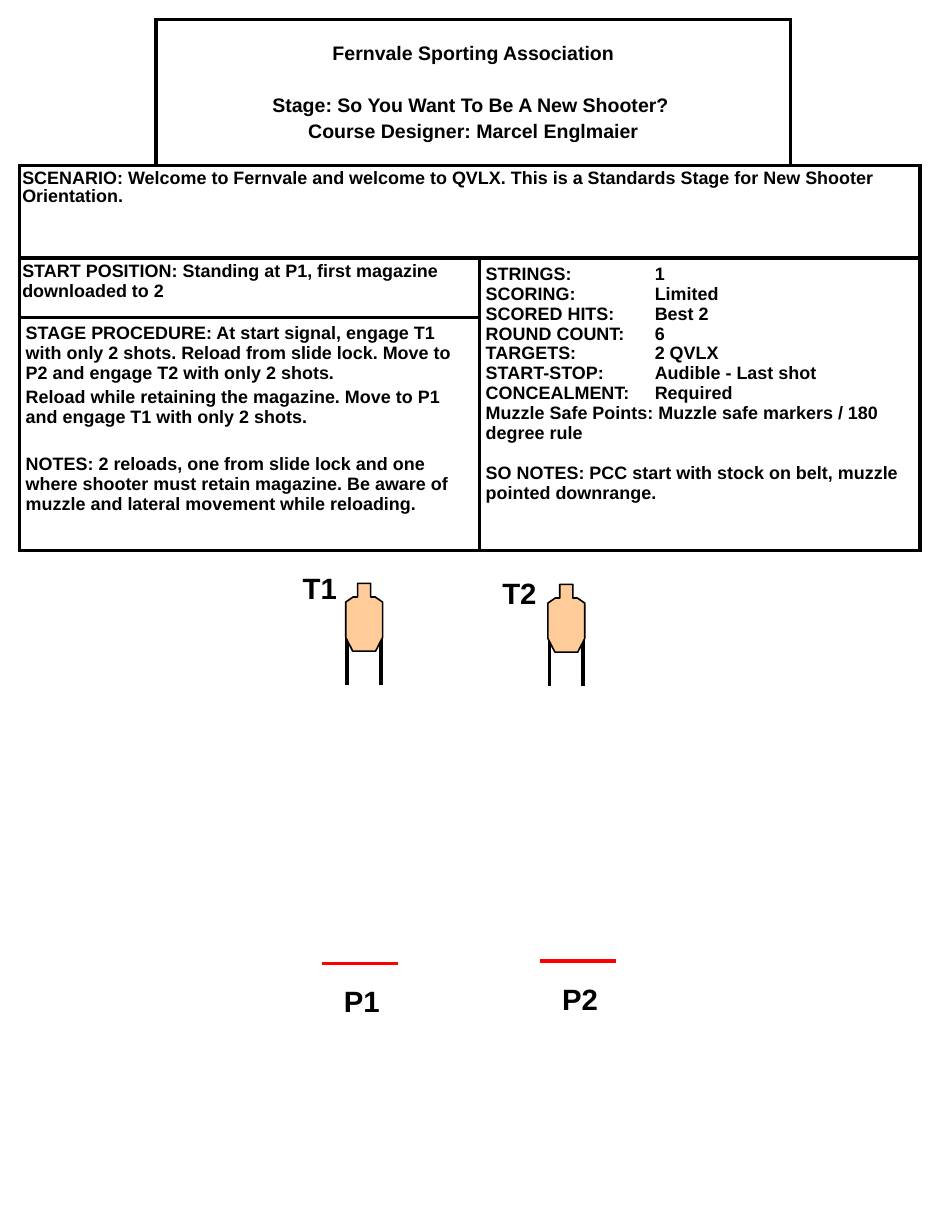
import pptx
import pptx.dml.color
import pptx.enum.shapes
import pptx.enum.text
import pptx.oxml.ns
import pptx.util
from lxml import etree

Pt = pptx.util.Pt
ALIGN = pptx.enum.text.PP_ALIGN
ANCHOR = pptx.enum.text.MSO_ANCHOR
BLACK, WHITE, RED, TAN = "000000", "FFFFFF", "FF0000", "FFCC99"

HEADING = [
    ("Fernvale Sporting Association", 0),
    ("Stage: So You Want To Be A New Shooter? ", 18.4),
    ("Course Designer: Marcel Englmaier", 2.4),
]
SCENARIO = [
    ("SCENARIO: Welcome to Fernvale and welcome to QVLX. This is a Standards "
     "Stage for New Shooter Orientation.", 0),
]
START = [("START POSITION: Standing at P1, first magazine downloaded to 2", 0)]
PROCEDURE = [
    ("STAGE PROCEDURE: At start signal, engage T1 with only 2 shots. Reload from "
     "slide lock. Move to P2 and engage T2 with only 2 shots.", 0),
    ("Reload while retaining the magazine. Move to P1 and engage T1 with only "
     "2 shots.", 2.2),
    ("NOTES: 2 reloads, one from slide lock and one where shooter must retain "
     "magazine. Be aware of muzzle and lateral movement while reloading.", 16.8),
]
RULES = [
    ("STRINGS:", "1"),
    ("SCORING:", "Limited"),
    ("SCORED HITS:", "Best 2"),
    ("ROUND COUNT:", "6"),
    ("TARGETS:", "2 QVLX"),
    ("START-STOP:", "Audible - Last shot"),
    ("CONCEALMENT:", "Required"),
]
RULE_NOTES = [
    ("Muzzle Safe Points: Muzzle safe markers / 180 degree rule", 0),
    ("SO NOTES: PCC start with stock on belt, muzzle pointed downrange.", 12),
]
# Right half of a target, as (distance from centre line, distance from top)
TARGET_HALF = [(4, 0), (4, 8.4), (6.8, 8.4), (11.3, 11.5), (11.3, 33.2), (7, 41.6)]


def rgb(color):
    return pptx.dml.color.RGBColor.from_string(color)


def add_run(p, text, size):
    r = p.add_run()
    r.text = text
    r.font.name = "Arial"
    r.font.size = Pt(size)
    r.font.bold = True
    r.font.color.rgb = rgb(BLACK)


def add_tab(p, position):
    tabs = etree.SubElement(p._p.get_or_add_pPr(), pptx.oxml.ns.qn("a:tabLst"))
    etree.SubElement(tabs, pptx.oxml.ns.qn("a:tab"), pos=str(Pt(position)), algn="l")


def fill_text(cell, paragraphs, size=11, inset=(3.6, 3.6), align=ALIGN.LEFT,
              line_spacing=1.0, tab=None):
    """Write (text, space before) pairs; inset is (sides, top and bottom)."""
    cell.margin_left = cell.margin_right = Pt(inset[0])
    cell.margin_top = cell.margin_bottom = Pt(inset[1])
    tf = cell.text_frame
    for i, (text, before) in enumerate(paragraphs):
        p = tf.add_paragraph() if i else tf.paragraphs[0]
        if tab and "\t" in text:
            add_tab(p, tab)
        p.alignment = align
        p.line_spacing = line_spacing
        p.space_before = Pt(before)
        add_run(p, text, size)


def set_borders(cell, sides):
    """Draw the borders named in sides (L, R, T, B) and clear the others."""
    tc_pr = cell._tc.get_or_add_tcPr()
    for side in "LRTB":
        ln = etree.SubElement(tc_pr, pptx.oxml.ns.qn("a:ln" + side), w=str(Pt(2.25)))
        if side in sides:
            fill = etree.SubElement(ln, pptx.oxml.ns.qn("a:solidFill"))
            etree.SubElement(fill, pptx.oxml.ns.qn("a:srgbClr"), val=BLACK)
        else:
            etree.SubElement(ln, pptx.oxml.ns.qn("a:noFill"))


def add_stage_table(s):
    widths, heights = (83.5, 198.7, 190.8, 79.2), (89.3, 56.9, 36.7, 142.6)
    frame = s.shapes.add_table(len(heights), len(widths), Pt(12.2), Pt(12.2),
                               Pt(sum(widths)), Pt(sum(heights)))
    table = frame.table
    table.first_row = table.horz_banding = False
    for column, width in zip(table.columns, widths):
        column.width = Pt(width)
    for row, height in zip(table.rows, heights):
        row.height = Pt(height)

    corner_sides = {(0, 0): "RB", (0, 3): "LB"}
    for i in range(len(heights)):
        for j in range(len(widths)):
            cell = table.cell(i, j)
            set_borders(cell, corner_sides.get((i, j), "LRTB"))
            cell.fill.solid()
            cell.fill.fore_color.rgb = rgb(WHITE)
    for first, last in [((0, 1), (0, 2)), ((1, 0), (1, 3)), ((2, 0), (2, 1)),
                        ((2, 2), (3, 3)), ((3, 0), (3, 1))]:
        table.cell(*first).merge(table.cell(*last))

    table.cell(0, 1).vertical_anchor = ANCHOR.MIDDLE
    fill_text(table.cell(0, 1), HEADING, size=12, align=ALIGN.CENTER)
    fill_text(table.cell(1, 0), SCENARIO, inset=(1.5, 2.9), line_spacing=0.9)
    fill_text(table.cell(2, 0), START, inset=(1.5, 2.2))
    fill_text(table.cell(3, 0), PROCEDURE)
    rules = [(f"{name}\t{value}", 0) for name, value in RULES]
    fill_text(table.cell(2, 2), rules + RULE_NOTES, tab=103.7)


def add_line(shapes, x1, y1, x2, y2, color, width):
    line = shapes.add_connector(pptx.enum.shapes.MSO_CONNECTOR.STRAIGHT,
                                Pt(x1), Pt(y1), Pt(x2), Pt(y2))
    line.line.color.rgb = rgb(color)
    line.line.width = Pt(width)
    etree.SubElement(line._element.spPr, pptx.oxml.ns.qn("a:effectLst"))


def add_label(s, text, left, top):
    box = s.shapes.add_textbox(Pt(left), Pt(top), Pt(41.8), Pt(28.8))
    tf = box.text_frame
    tf.word_wrap = True
    tf.auto_size = pptx.enum.text.MSO_AUTO_SIZE.SHAPE_TO_FIT_TEXT
    add_run(tf.paragraphs[0], text, 18)


def add_target(s, center, top):
    """Group two legs with the target outline in front of them."""
    shapes = s.shapes.add_group_shape().shapes
    for x in (center - 10.4, center + 10.4):
        add_line(shapes, x, top + 31, x, top + 62.6, BLACK, 2.25)
    outline = TARGET_HALF + [(-x, y) for x, y in reversed(TARGET_HALF)]
    points = [(Pt(center + x), Pt(top + y)) for x, y in outline]
    builder = shapes.build_freeform(*points[0])
    builder.add_line_segments(points[1:], close=True)
    sp = builder.convert_to_shape()
    sp.shadow.inherit = False
    sp.fill.solid()
    sp.fill.fore_color.rgb = rgb(TAN)
    sp.line.color.rgb = rgb(BLACK)
    sp.line.width = Pt(1)


def main():
    prs = pptx.Presentation()
    prs.slide_width, prs.slide_height = Pt(576), Pt(756)
    s = prs.slides.add_slide(prs.slide_layouts[6])
    add_stage_table(s)
    for name, left, top, center, target_top in [("T1", 178.6, 346.3, 223.4, 358),
                                                ("T2", 301, 349.2, 347.4, 358.6)]:
        add_target(s, center, target_top)
        add_label(s, name, left, top)
    for name, left, top, line_left, line_y in [("P1", 203.8, 599.8, 197.3, 591.1),
                                               ("P2", 337.7, 598.3, 331.2, 589.7)]:
        add_line(s.shapes, line_left + 46.8, line_y, line_left, line_y, RED, 2)
        add_label(s, name, left, top)
    prs.save("out.pptx")


if __name__ == "__main__":
    main()
